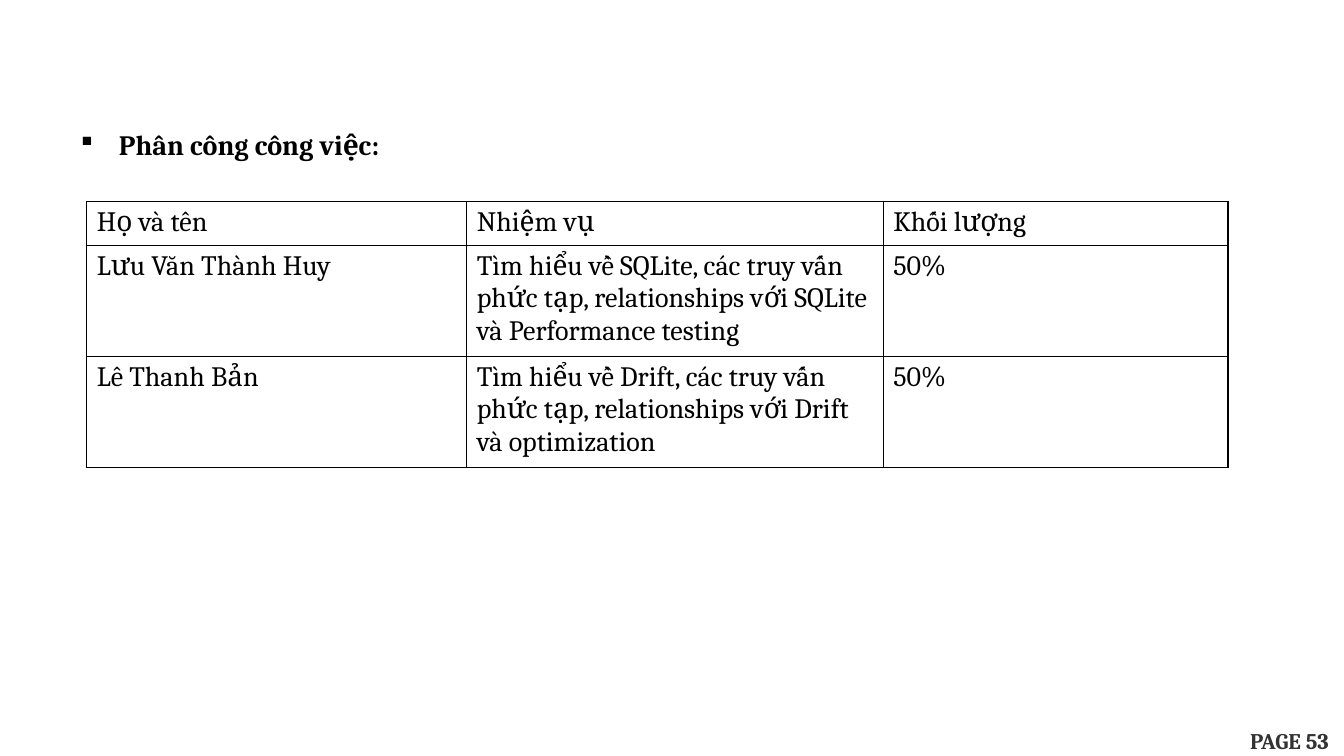
from lxml.etree import SubElement
from pptx import Presentation
from pptx.dml.color import RGBColor
from pptx.enum.shapes import MSO_SHAPE
from pptx.enum.text import MSO_AUTO_SIZE, MSO_ANCHOR
from pptx.oxml.ns import qn
from pptx.util import Inches, Pt

BLACK = RGBColor(0x00, 0x00, 0x00)
GREY = RGBColor(0x33, 0x33, 0x33)
WHITE = RGBColor(0xFF, 0xFF, 0xFF)
NAVY = RGBColor(0x1B, 0x19, 0x2E)
FONT = "Cambria"

COLUMN_WIDTHS = [3.77, 4.13, 3.42]
ROW_HEIGHTS = [0.43, 1.1, 1.1]
ASSIGNMENTS = [
    ["Họ và tên", "Nhiệm vụ", "Khối lượng"],
    ["Lưu Văn Thành Huy",
     "Tìm hiểu về SQLite, các truy vấn phức tạp, relationships với SQLite "
     "và Performance testing",
     "50%"],
    ["Lê Thanh Bản",
     "Tìm hiểu về Drift, các truy vấn phức tạp, relationships với Drift "
     "và optimization",
     "50%"],
]


def add_text(paragraph, text, size=20, bold=False, color=BLACK):
    run = paragraph.add_run()
    run.text = text
    run.font.name = FONT
    run.font.size = Pt(size)
    run.font.bold = bold
    run.font.color.rgb = color


def add_borders(cell):
    properties = cell._tc.get_or_add_tcPr()
    for side in ("lnL", "lnR", "lnT", "lnB"):
        line = SubElement(properties, qn(f"a:{side}"), w=str(Pt(1)))
        fill = SubElement(line, qn("a:solidFill"))
        SubElement(fill, qn("a:srgbClr"), val=str(BLACK))


presentation = Presentation()
presentation.slide_width = Inches(13.33)
presentation.slide_height = Inches(7.5)
slide = presentation.slides.add_slide(presentation.slide_layouts[1])
slide.background.fill.solid()
slide.background.fill.fore_color.rgb = NAVY
title, body = slide.placeholders
title.element.getparent().remove(title.element)

# White panel behind everything
panel = slide.shapes.add_shape(
    MSO_SHAPE.RECTANGLE, 0, 0, presentation.slide_width, presentation.slide_height)
panel.shadow.inherit = False
panel.fill.solid()
panel.fill.fore_color.rgb = WHITE
panel.line.fill.background()
body.element.addprevious(panel.element)

# Page number
page_box = slide.shapes.add_textbox(
    Inches(12.3), Inches(7.16), Inches(1.03), Inches(0.34))
page_box.text_frame.word_wrap = False
add_text(page_box.text_frame.paragraphs[0], "PAGE 53", 16, True, GREY)

# Bulleted heading
body.left, body.top = Inches(0.7), Inches(1.05)
body.width, body.height = Inches(10.63), Inches(0.94)
body.text_frame.auto_size = MSO_AUTO_SIZE.NONE
body.text_frame.vertical_anchor = MSO_ANCHOR.TOP
heading = body.text_frame.paragraphs[0]
heading_properties = heading._p.get_or_add_pPr()
heading_properties.set("marL", str(Inches(0.38)))
heading_properties.set("indent", str(-Inches(0.38)))
SubElement(heading_properties, qn("a:buFont"), typeface="Wingdings")
SubElement(heading_properties, qn("a:buChar"), char="§")
heading.line_spacing = 1.5
heading.space_before = Pt(0)
add_text(heading, "Phân công công việc:", bold=True)

# Work assignment table
table = slide.shapes.add_table(
    len(ROW_HEIGHTS), len(COLUMN_WIDTHS), Inches(0.86), Inches(2),
    Inches(sum(COLUMN_WIDTHS)), Inches(sum(ROW_HEIGHTS))).table
table.first_row = False
table.horz_banding = False
for column, width in zip(table.columns, COLUMN_WIDTHS):
    column.width = Inches(width)
for row, height, texts in zip(table.rows, ROW_HEIGHTS, ASSIGNMENTS):
    row.height = Inches(height)
    for cell, text in zip(row.cells, texts):
        add_borders(cell)
        cell.fill.background()
        add_text(cell.text_frame.paragraphs[0], text)

presentation.save("out.pptx")
